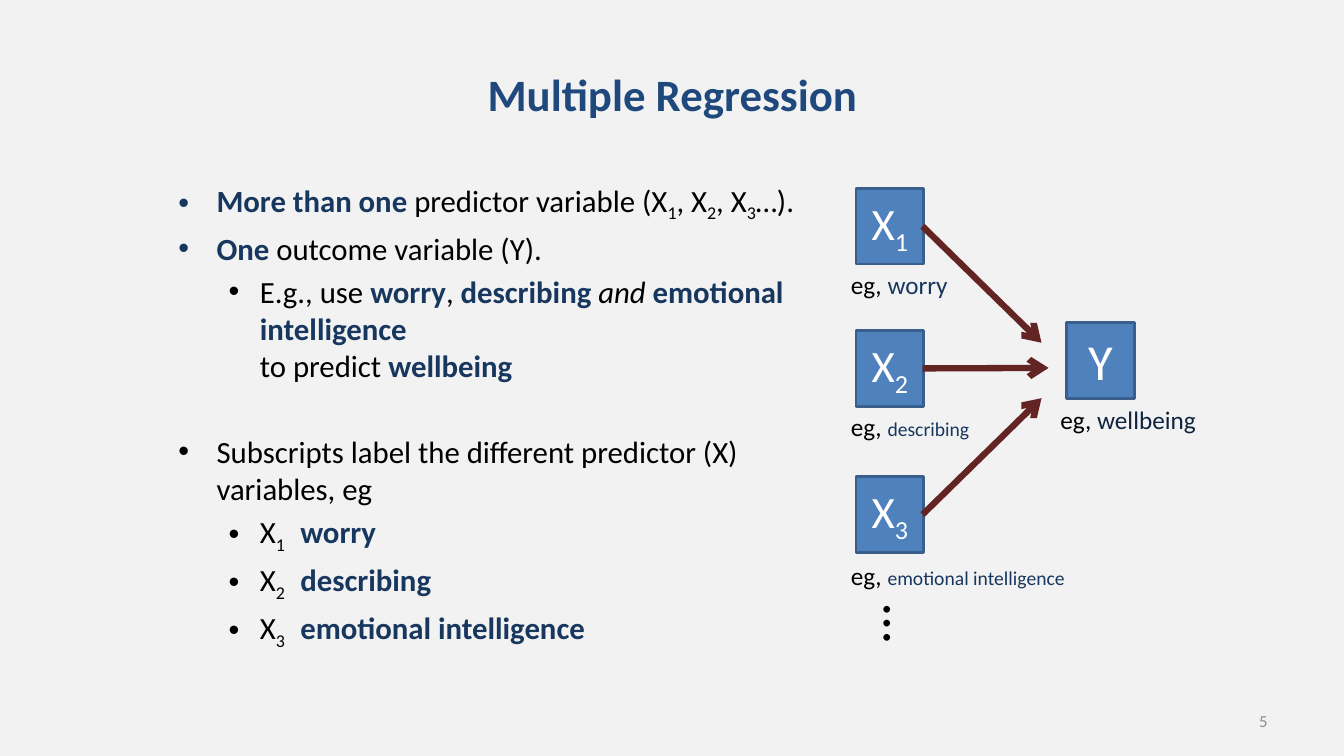
"""Builds the Multiple Regression slide with its predictor diagram."""
import pptx
import pptx.dml.color
import pptx.enum.shapes
import pptx.enum.text
import pptx.oxml.xmlchemy
import pptx.util

Inches, Pt = pptx.util.Inches, pptx.util.Pt
ALIGN = pptx.enum.text.PP_ALIGN
MIDDLE = pptx.enum.text.MSO_ANCHOR.MIDDLE

COLORS = {
    "background": "F2F2F2", "title": "1F497D", "key": "17375E", "text": "000000",
    "number": "8C8C8C", "box": "4F81BD", "box_line": "3A5F8C", "box_text": "FFFFFF",
    "arrow": "632523", "outcome": "0F243E",
}
TITLE = "Multiple Regression"
PAGE = "5"
SUBSCRIPT_GAP = 8.2

KEY = {"color": "key", "bold": True}
SUB = {"sub": True}
LABEL = {"sub": True, "spacing": SUBSCRIPT_GAP}
POINTS = [
    (0, 4.4, [("More than one ", KEY), ("predictor variable (X", {}), ("1", SUB), (", X", {}),
              ("2", SUB), (", X", {}), ("3", SUB), ("…).", {})]),
    (0, 4.4, [("One ", KEY), ("outcome variable (Y).", {})]),
    (1, 4.4, [("E.g., use ", {}), ("worry", KEY), (", ", {}), ("describing ", KEY),
              ("and ", {"italic": True}), ("emotional intelligence", KEY), ("\n", {}),
              ("to predict ", {}), ("wellbeing", KEY)]),
    (0, 35, [("Subscripts label the different predictor (X) variables, eg", {})]),
    (1, 4.4, [("X", {}), ("1", SUB), (" ", LABEL), ("worry", KEY)]),
    (1, 4.4, [("X", {}), ("2", SUB), (" ", LABEL), ("describing", KEY)]),
    (1, 4.4, [("X", {}), ("3", SUB), (" ", LABEL), ("emotional intelligence", KEY)]),
]
INDENTS = [(0.38, -0.38), (0.81, -0.31)]

BOX_WIDTH, BOX_HEIGHT = 0.67, 0.75
PREDICTOR_LEFT = 8.49
PREDICTORS = [
    ("1", 1.87, "worry", 18, 2.62, 1.19, (10.33, 3.4)),
    ("2", 3.28, "describing", 14, 4.03, 1.39, (10.4, 3.65)),
    ("3", 4.73, "emotional intelligence", 14, 5.51, 2.35, (10.33, 3.95)),
]


def rgb(name):
    return pptx.dml.color.RGBColor.from_string(COLORS[name])


def add_element(parent, tag, **attributes):
    element = pptx.oxml.xmlchemy.OxmlElement(tag)
    for key, value in attributes.items():
        element.set(key, value)
    parent.append(element)


def add_runs(paragraph, pieces, size, color="text"):
    for text, style in pieces:
        if text == "\n":
            paragraph.add_line_break()
            continue
        run = paragraph.add_run()
        run.text = text
        font = run.font
        font.name = "Calibri"
        font.size = Pt(style.get("size", size))
        font.bold = style.get("bold", False)
        font.italic = style.get("italic", False)
        font.color.rgb = rgb(style.get("color", color))
        properties = run._r.get_or_add_rPr()
        if style.get("sub"):
            properties.set("baseline", "-25000")
        if "spacing" in style:
            properties.set("spc", str(round(style["spacing"] * 100)))


def add_text(slide, place, pieces, size, color="text", wrap=False):
    text_box = slide.shapes.add_textbox(*map(Inches, place))
    text_box.text_frame.word_wrap = wrap
    add_runs(text_box.text_frame.paragraphs[0], pieces, size, color)
    return text_box


def add_points(slide):
    frame = slide.shapes.add_textbox(*map(Inches, (1.67, 1.75, 6.44, 4.95))).text_frame
    frame.word_wrap = True
    for index, (level, space, pieces) in enumerate(POINTS):
        point = frame.add_paragraph() if index else frame.paragraphs[0]
        point.level = level
        point.space_before = Pt(space)
        add_runs(point, pieces, 22)
        margin, hanging = INDENTS[level]
        properties = point._p.get_or_add_pPr()
        properties.set("marL", str(Inches(margin)))
        properties.set("indent", str(Inches(hanging)))
        add_element(properties, "a:buFont", typeface="Arial")
        add_element(properties, "a:buChar", char="•")


def add_box(slide, left, top, pieces, size):
    box = slide.shapes.add_shape(
        pptx.enum.shapes.MSO_SHAPE.RECTANGLE,
        *map(Inches, (left, top, BOX_WIDTH, BOX_HEIGHT)))
    box.shadow.inherit = False
    box.fill.solid()
    box.fill.fore_color.rgb = rgb("box")
    box.line.color.rgb = rgb("box_line")
    box.line.width = Pt(2)
    box.text_frame.vertical_anchor = MIDDLE
    label = box.text_frame.paragraphs[0]
    label.alignment = ALIGN.CENTER
    add_runs(label, pieces, size, "box_text")


def add_arrow(slide, start, end):
    arrow = slide.shapes.add_connector(
        pptx.enum.shapes.MSO_CONNECTOR.STRAIGHT, *map(Inches, start + end))
    arrow.line.color.rgb = rgb("arrow")
    arrow.line.width = Pt(4.5)
    properties = arrow._element.spPr
    add_element(properties.get_or_add_ln(), "a:tailEnd", type="arrow")
    add_element(properties, "a:effectLst")


def add_diagram(slide):
    for number, top, example, size, caption_top, caption_width, target in PREDICTORS:
        add_box(slide, PREDICTOR_LEFT, top, [("X", {}), (number, SUB)], 32)
        add_arrow(slide, (9.15, top + BOX_HEIGHT / 2), target)
        add_text(slide, (8.34, caption_top, caption_width, 0.4),
                 [("eg, ", {}), (example, {"color": "key", "size": size})], 18)
    add_box(slide, 10.58, 3.2, [("Y", {})], 36)
    add_text(slide, (10.42, 3.96, 1.56, 0.4),
             [("eg, ", {}), ("wellbeing", {"color": "outcome"})], 18)
    more = add_text(slide, (8.69, 5.81, 0.59, 0.77), [("…", {})], 40)
    more.rotation = 90


def main():
    deck = pptx.Presentation()
    deck.slide_width, deck.slide_height = Inches(13.33), Inches(7.5)
    slide = deck.slides.add_slide(deck.slide_layouts[5])
    slide.background.fill.solid()
    slide.background.fill.fore_color.rgb = rgb("background")

    title = slide.shapes.title
    title.left, title.top, title.width, title.height = map(Inches, (0.67, 0.3, 12, 1.25))
    title.text_frame.vertical_anchor = MIDDLE
    heading = title.text_frame.paragraphs[0]
    heading.alignment = ALIGN.CENTER
    add_runs(heading, [(TITLE, {"bold": True})], 32, "title")

    add_points(slide)
    add_diagram(slide)
    page = add_text(slide, (9.56, 6.95, 3.11, 0.4), [(PAGE, {})], 12, "number", wrap=True)
    page.text_frame.vertical_anchor = MIDDLE
    page.text_frame.paragraphs[0].alignment = ALIGN.RIGHT
    deck.save("out.pptx")


if __name__ == "__main__":
    main()
